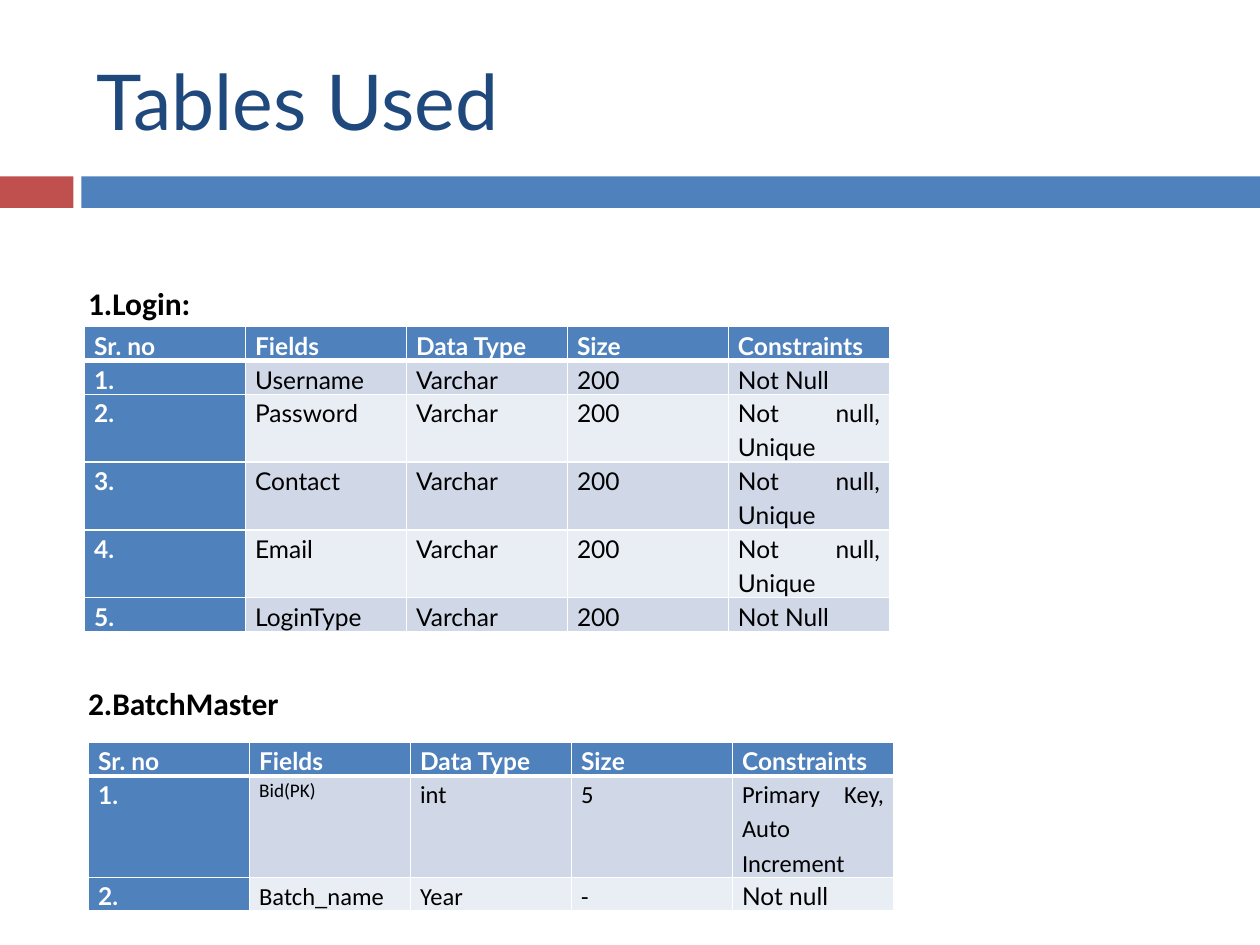
from lxml.etree import SubElement
from pptx import Presentation
from pptx.dml.color import RGBColor as RGB
from pptx.enum.shapes import MSO_SHAPE as SHAPE
from pptx.enum.text import MSO_ANCHOR as ANCHOR, PP_ALIGN as ALIGN
from pptx.oxml.ns import qn
from pptx.util import Pt

COLORS = {"title": "1F497D", "blue": "4F81BD", "red": "C0504D", "white": "FFFFFF",
          "black": "000000", "odd": "D0D8E8", "even": "E9EDF4"}
COL_W, LINE_H = 92, 19.35  # column width, height of one text line
HEADER = ["Sr. no", "Fields", "Data Type", "Size", "Constraints"]
LOGIN = [
    HEADER,
    ["1.", "Username", "Varchar", "200", "Not Null"],
    ["2.", "Password", "Varchar", "200", "Not null, Unique"],
    ["3.", "Contact", "Varchar", "200", "Not null, Unique"],
    ["4.", "Email", "Varchar", "200", "Not null, Unique"],
    ["5.", "LoginType", "Varchar", "200", "Not Null"],
]
BATCH = [
    HEADER,
    ["1.", "Bid(PK)", "int", "5", "Primary Key, Auto Increment"],
    ["2.", "Batch_name", "Year", "-", "Not null"],
]


def color(name):
    return RGB.from_string(COLORS[name])


def format_runs(p, size, name, font, bold=False):
    for r in p.runs:
        r.font.size = Pt(size)
        r.font.name = font
        r.font.bold = bold
        r.font.color.rgb = color(name)


def add_bar(slide, left, width, name):
    sp = slide.shapes.add_shape(SHAPE.RECTANGLE, Pt(left), Pt(100.8), Pt(width), Pt(18))
    sp.shadow.inherit = False
    sp.fill.solid()
    sp.fill.fore_color.rgb = color(name)
    sp.line.fill.background()


def set_title(slide, text):
    sp = slide.shapes.title
    sp.left, sp.top, sp.width, sp.height = Pt(48), Pt(18), Pt(642), Pt(78)
    tf = sp.text_frame
    tf.text = text
    tf.vertical_anchor = ANCHOR.MIDDLE
    tf.paragraphs[0].alignment = ALIGN.LEFT
    format_runs(tf.paragraphs[0], 44, "title", "Lato")


def add_heading(slide, top, text):
    tf = slide.shapes.add_textbox(Pt(43.2), Pt(top), Pt(406), Pt(31)).text_frame
    tf.word_wrap = True
    p = tf.paragraphs[0]
    p.text = text
    p.alignment, p.line_spacing, p.space_after = ALIGN.JUSTIFY, 1.15, Pt(8)
    format_runs(p, 18, "black", "Calibri", True)


def set_borders(cell, row):
    tc_pr = cell._tc.get_or_add_tcPr()
    # The rule below the header is thicker than the others
    widths = {"lnL": 1, "lnR": 1, "lnT": 3 if row == 1 else 1, "lnB": 3 if row == 0 else 1}
    for side, width in widths.items():
        ln = SubElement(tc_pr, qn(f"a:{side}"), w=str(Pt(width)))
        fill = SubElement(ln, qn("a:solidFill"))
        SubElement(fill, qn("a:srgbClr"), val=COLORS["white"])


def fill_cell(cell, row, col, text, font, size):
    strong = row == 0 or col == 0
    cell.margin_left = cell.margin_right = Pt(5.4)
    cell.margin_top = cell.margin_bottom = 0
    set_borders(cell, row)
    cell.fill.solid()
    cell.fill.fore_color.rgb = color("blue" if strong else "odd" if row % 2 else "even")
    p = cell.text_frame.paragraphs[0]
    p.text = text
    p.alignment, p.line_spacing = ALIGN.JUSTIFY, 1.15
    format_runs(p, size, "white" if strong else "black", font, strong)


def add_field_table(slide, left, top, rows, line_counts, calibri=(), sizes=None):
    height = LINE_H * sum(line_counts)
    table = slide.shapes.add_table(len(rows), len(HEADER), Pt(left), Pt(top),
                                   Pt(COL_W * len(HEADER)), Pt(height)).table
    for column in table.columns:
        column.width = Pt(COL_W)
    for i, (values, lines) in enumerate(zip(rows, line_counts)):
        table.rows[i].height = Pt(LINE_H * lines)
        for j, text in enumerate(values):
            font = "Calibri" if (i, j) in calibri else "Lato"
            fill_cell(table.cell(i, j), i, j, text, font, (sizes or {}).get((i, j), 14))


def main():
    prs = Presentation()
    prs.slide_width, prs.slide_height = Pt(720), Pt(540)
    slide = prs.slides.add_slide(prs.slide_layouts[5])

    # Title and the band below it
    add_bar(slide, 0, 42, "red")
    add_bar(slide, 46.5, 673.5, "blue")
    set_title(slide, "Tables Used")

    # Login table
    add_heading(slide, 155.5, "1.Login:")
    add_field_table(slide, 48.4, 186.7, LOGIN, [1, 1, 2, 2, 2, 1])

    # Batch table
    add_heading(slide, 384.2, "2.BatchMaster")
    calibri = [(1, 1), (1, 2), (1, 3), (1, 4), (2, 1), (2, 2), (2, 3)]
    add_field_table(slide, 50.7, 424, BATCH, [1, 3, 1], calibri, {(1, 1): 11})

    prs.save("out.pptx")


if __name__ == "__main__":
    main()
